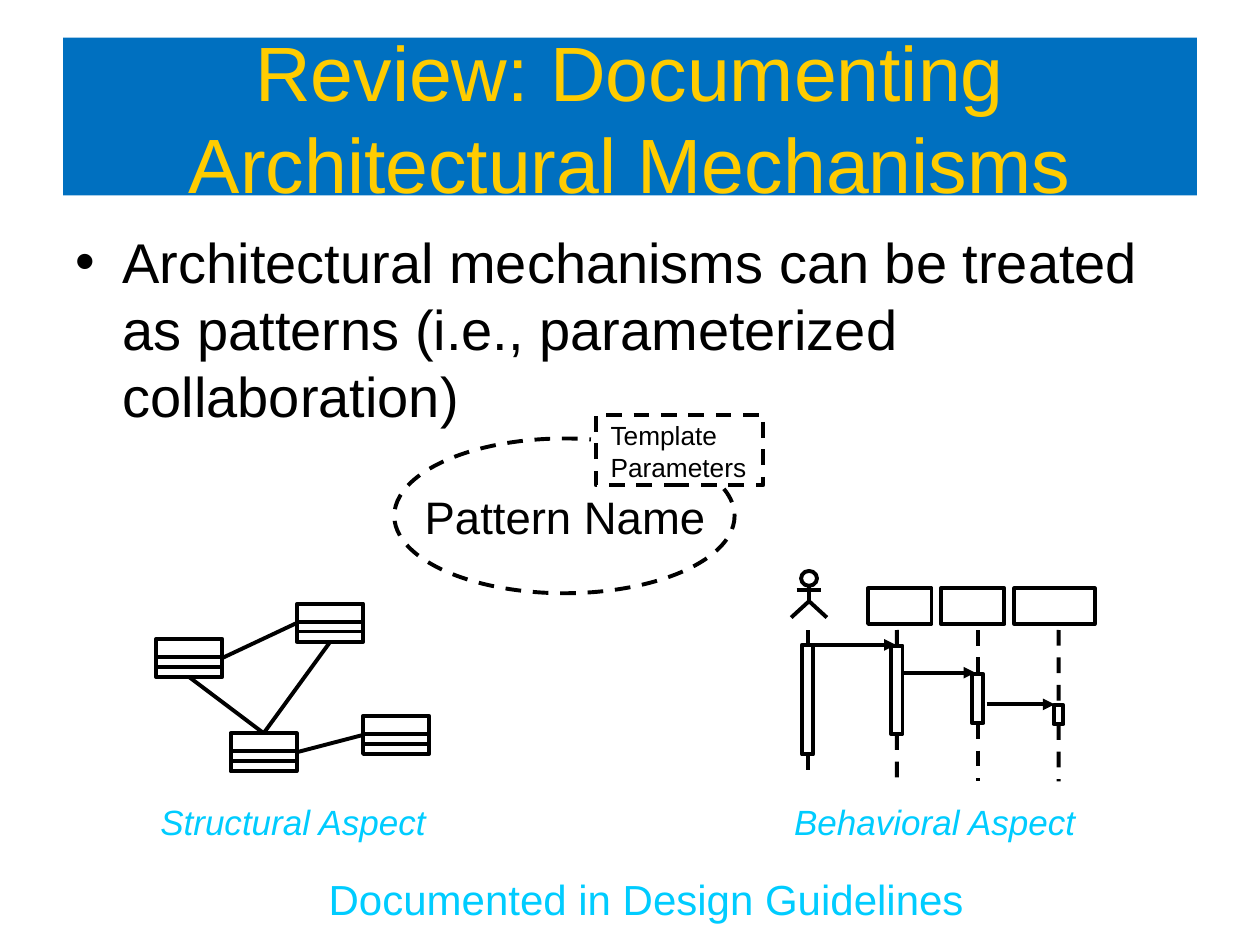
from lxml.etree import SubElement
from pptx import Presentation
from pptx.dml.color import RGBColor
from pptx.enum.dml import MSO_LINE_DASH_STYLE as DASH
from pptx.enum.shapes import MSO_CONNECTOR, MSO_SHAPE
from pptx.enum.text import MSO_ANCHOR, MSO_AUTO_SIZE, PP_ALIGN
from pptx.oxml.ns import qn
from pptx.util import Cm, Pt

COLORS = {"ink": "000000", "banner": "0070C0", "title": "FFCC00", "accent": "00CCFF"}
TOP, LEFT, BOTTOM, RIGHT = range(4)


def color(name):
    return RGBColor.from_string(COLORS[name])


def place(shape, left, top, width, height):
    shape.left, shape.top = Cm(left), Cm(top)
    shape.width, shape.height = Cm(width), Cm(height)


def write(shape, text, size, ink="ink", italic=False, align=PP_ALIGN.CENTER,
          anchor=MSO_ANCHOR.TOP, margins=(0.25, 0.13), wrap=True):
    frame = shape.text_frame
    frame.word_wrap = wrap
    frame.auto_size = MSO_AUTO_SIZE.NONE
    frame.vertical_anchor = anchor
    frame.margin_left = frame.margin_right = Cm(margins[0])
    frame.margin_top = frame.margin_bottom = Cm(margins[1])
    paragraph = frame.paragraphs[0]
    paragraph.text = text
    paragraph.alignment = align
    paragraph.space_before = Pt(0)
    for run in paragraph.runs:
        run.font.name = "Arial"
        run.font.size = Pt(size)
        run.font.italic = italic
        run.font.color.rgb = color(ink)


def add_text(slide, box, text, size, **style):
    write(slide.shapes.add_textbox(*map(Cm, box)), text, size, **style)


def style_line(shape, dashed=False):
    shape.line.color.rgb = color("ink")
    shape.line.width = Pt(2.25)
    if dashed:
        shape.line.dash_style = DASH.DASH


def style_outline(shape, dashed=False):
    shape.shadow.inherit = False
    shape.fill.background()
    style_line(shape, dashed)


def add_outline(slide, kind, box, dashed=False):
    shape = slide.shapes.add_shape(kind, *map(Cm, box))
    style_outline(shape, dashed)
    return shape


def add_line(slide, start, end, dashed=False, arrow=False):
    """Each end is an (x, y) point in cm or a (shape, side) pair."""
    points = [end_ if isinstance(end_[0], (int, float)) else (0, 0) for end_ in (start, end)]
    line = slide.shapes.add_connector(
        MSO_CONNECTOR.STRAIGHT, *(Cm(value) for point in points for value in point))
    if not isinstance(start[0], (int, float)):
        line.begin_connect(*start)
    if not isinstance(end[0], (int, float)):
        line.end_connect(*end)
    style_line(line, dashed)
    properties = line._element.spPr
    if arrow:
        SubElement(properties.find(qn("a:ln")), qn("a:tailEnd"), type="triangle")
    SubElement(properties, qn("a:effectLst"))


def add_class(slide, left, top):
    width = 1.33
    box = add_outline(slide, MSO_SHAPE.RECTANGLE, (left, top, width, 0.77))
    for offset in (0.36, 0.56):
        add_line(slide, (left, top + offset), (left + width, top + offset))
    return box


def add_class_diagram(slide):
    first, second, third, fourth = [
        add_class(slide, left, top)
        for left, top in [(3.15, 12.88), (5.99, 12.17), (4.65, 14.78), (7.32, 14.43)]]
    add_line(slide, (third, TOP), (first, BOTTOM))
    add_line(slide, (first, RIGHT), (second, LEFT))
    add_line(slide, (third, RIGHT), (fourth, LEFT))
    add_line(slide, (third, TOP), (second, BOTTOM))


def add_pattern(slide):
    ellipse = add_outline(slide, MSO_SHAPE.ARC, (7.95, 8.84, 6.86, 3.12), dashed=True)
    # Arc angles in degrees, clockwise from the right; one degree is 0.6 units
    for index, angle in enumerate((350.4, 289.1)):
        ellipse.adjustments[index] = angle * 0.6
    add_text(slide, (8.31, 9.73, 6.17, 1.37), "Pattern Name", 26, wrap=False)
    add_outline(slide, MSO_SHAPE.RECTANGLE, (12.01, 8.36, 3.38, 1.42), dashed=True)
    add_text(slide, (12.01, 8.31, 4.39, 1.57), "Template\vParameters", 15,
             align=PP_ALIGN.LEFT, margins=(0.3, 0.15))


def add_actor(slide, center):
    add_outline(slide, MSO_SHAPE.OVAL, (center - 0.16, 11.51, 0.32, 0.3))
    add_line(slide, (center, 11.81), (center, 12.12))
    add_line(slide, (center - 0.25, 11.89), (center + 0.25, 11.89))
    legs = slide.shapes.build_freeform(Cm(center - 0.36), Cm(12.45))
    legs.add_line_segments(
        [(Cm(center), Cm(12.12)), (Cm(center + 0.36), Cm(12.45))], close=False)
    style_outline(legs.convert_to_shape())


def add_lifeline(slide, center, top, height, width):
    bar = add_outline(slide, MSO_SHAPE.RECTANGLE, (center - width / 2, top, width, height))
    add_line(slide, (center, 12.7), (bar, TOP), dashed=True)
    add_line(slide, (bar, BOTTOM), (center, 15.75), dashed=True)


def add_sequence_diagram(slide):
    add_actor(slide, 16.31)
    for left, width in [(17.5, 1.28), (18.97, 1.28), (20.45, 1.62)]:
        add_outline(slide, MSO_SHAPE.RECTANGLE, (left, 11.86, width, 0.72))
    # Messages
    for start, end, y in [(16.28, 18.06, 13), (18.19, 19.66, 13.56), (19.89, 21.26, 14.2)]:
        add_line(slide, (start, y), (end, y), arrow=True)
    # Lifelines with activation bars
    for lifeline in [(16.28, 13, 2.21, 0.23), (18.08, 13.02, 1.78, 0.23),
                     (19.71, 13.59, 0.99, 0.23), (21.34, 14.22, 0.38, 0.2)]:
        add_lifeline(slide, *lifeline)


def main():
    presentation = Presentation()
    presentation.slide_width, presentation.slide_height = Cm(25.4), Cm(19.05)
    slide = presentation.slides.add_slide(presentation.slide_layouts[1])

    # Title and statement
    title, body = slide.shapes.title, slide.placeholders[1]
    place(title, 1.27, 0.76, 22.86, 3.18)
    title.fill.solid()
    title.fill.fore_color.rgb = color("banner")
    write(title, "Review: Documenting Architectural Mechanisms", 44, ink="title",
          anchor=MSO_ANCHOR.MIDDLE)
    place(body, 1.27, 4.45, 22.86, 12.57)
    write(body, "Architectural mechanisms can be treated as patterns "
          "(i.e., parameterized collaboration)", 32, align=PP_ALIGN.LEFT)

    # Diagrams
    add_class_diagram(slide)
    add_pattern(slide)
    add_sequence_diagram(slide)

    # Captions
    add_text(slide, (2.95, 16, 5.92, 1.12), "Structural Aspect", 20, ink="accent", italic=True)
    add_text(slide, (15.44, 16, 6.81, 1.12), "Behavioral Aspect", 20, ink="accent", italic=True)
    add_text(slide, (5.72, 17.45, 14.61, 1.32), "Documented in Design Guidelines", 24,
             ink="accent", margins=(0.3, 0.15))

    presentation.save("out.pptx")


if __name__ == "__main__":
    main()
